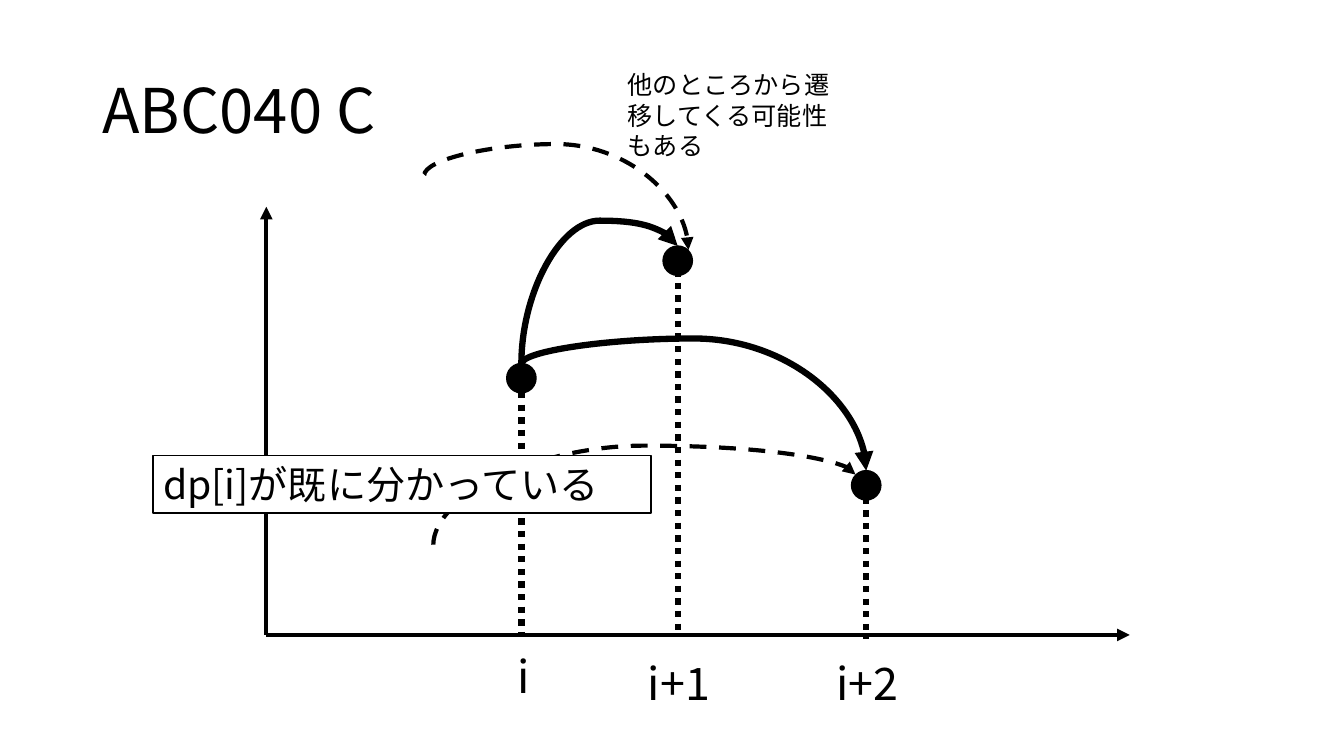
from dataclasses import dataclass

from lxml.etree import SubElement
from pptx import Presentation
from pptx.dml.color import RGBColor
from pptx.enum.dml import MSO_LINE
from pptx.enum.shapes import MSO_CONNECTOR, MSO_SHAPE
from pptx.enum.text import MSO_ANCHOR, MSO_AUTO_SIZE, PP_ALIGN
from pptx.oxml.ns import qn
from pptx.util import Cm, Pt


@dataclass(frozen=True)
class Theme:
    font: str = "Noto Sans CJK JP"
    ink: RGBColor = RGBColor(0, 0, 0)
    paper: RGBColor = RGBColor(255, 255, 255)
    title: Pt = Pt(44)
    label: Pt = Pt(32)
    statement: Pt = Pt(28)
    remark: Pt = Pt(18)
    thin: Pt = Pt(1)
    medium: Pt = Pt(3)
    thick: Pt = Pt(4.5)


theme = Theme()


def write(shape, text, size, anchor=MSO_ANCHOR.TOP, spacing=1.0, fit=MSO_AUTO_SIZE.SHAPE_TO_FIT_TEXT):
    frame = shape.text_frame
    frame.word_wrap = True
    frame.auto_size = fit
    frame.vertical_anchor = anchor
    paragraph = frame.paragraphs[0]
    paragraph.alignment = PP_ALIGN.LEFT
    paragraph.line_spacing = spacing
    run = paragraph.add_run()
    run.text = text
    run.font.name = theme.font
    run.font.size = size
    run.font.color.rgb = theme.ink
    SubElement(run.font._element, qn("a:ea"), typeface=theme.font)


def stroke(connector, width, dash=None, arrow=False):
    connector.line.color.rgb = theme.ink
    connector.line.width = width
    connector.line.dash_style = dash
    properties = connector._element.spPr
    if arrow:
        SubElement(properties.find(qn("a:ln")), qn("a:tailEnd"), type="triangle")
    SubElement(properties, qn("a:effectLst"))


deck = Presentation()
deck.slide_width, deck.slide_height = Cm(33.87), Cm(19.05)
slide = deck.slides.add_slide(deck.slide_layouts[5])
shapes = slide.shapes

# Title
heading = shapes.title
heading.left, heading.top, heading.width, heading.height = Cm(2.33), Cm(1.02), Cm(29.21), Cm(3.68)
write(heading, "ABC040 C", theme.title, anchor=MSO_ANCHOR.MIDDLE, spacing=0.9, fit=MSO_AUTO_SIZE.NONE)

# Transitions: start, end, height of the bend, line width, dash
transitions = [
    ((10.92, 13.74), (21.56, 11.96), 11.23, theme.medium, MSO_LINE.DASH),
    ((10.69, 4.42), (17.35, 6.30), 3.63, theme.medium, MSO_LINE.DASH),
    ((13.14, 9.17), (17.08, 6.20), 5.56, theme.thick, None),
    ((13.14, 9.17), (21.83, 11.86), 8.53, theme.thick, None),
]
for (x1, y1), (x2, y2), bend, width, dash in transitions:
    # The curve is laid out on its side, then turned about its centre
    mid_x, mid_y = (x1 + x2) / 2, (y1 + y2) / 2
    half_w, half_h = abs(y2 - y1) / 2, (x2 - x1) / 2
    rising = y2 < y1
    side = half_h if rising else -half_h
    transition = shapes.add_connector(
        MSO_CONNECTOR.CURVE,
        Cm(mid_x + half_w), Cm(mid_y + side), Cm(mid_x - half_w), Cm(mid_y - side))
    properties = transition._element.spPr
    properties.find(qn("a:xfrm")).set("rot", str((90 if rising else 270) * 60000))
    adjustments = properties.find(qn("a:prstGeom")).find(qn("a:avLst"))
    ratio = round((bend - y1) / (y2 - y1) * 100000)
    SubElement(adjustments, qn("a:gd"), name="adj1", fmla=f"val {ratio}")
    stroke(transition, width, dash, arrow=True)

# Axes
origin_x, origin_y = 6.71, 16.0
for tip_x, tip_y in [(origin_x, 5.21), (28.47, origin_y)]:
    axis = shapes.add_connector(
        MSO_CONNECTOR.STRAIGHT, Cm(origin_x), Cm(origin_y), Cm(tip_x), Cm(tip_y))
    stroke(axis, theme.medium, arrow=True)

# States, and white caps that trim the dashed tails: centre, size, colour
dots = [
    (13.14, 9.53, 0.74, 0.74, theme.ink),
    (17.08, 6.57, 0.74, 0.74, theme.ink),
    (21.83, 12.23, 0.74, 0.74, theme.ink),
    (10.34, 4.78, 0.97, 1.02, theme.paper),
    (10.92, 14.25, 0.97, 1.02, theme.paper),
]
for x, y, width, height, color in dots:
    dot = shapes.add_shape(
        MSO_SHAPE.OVAL, Cm(x - width / 2), Cm(y - height / 2), Cm(width), Cm(height))
    dot.shadow.inherit = False
    dot.fill.solid()
    dot.fill.fore_color.rgb = color
    dot.line.color.rgb = color
    dot.line.width = theme.thin

# Dotted stems and index labels: x, stem top and bottom, label left, top and width
indices = [
    ("i", 13.14, 9.88, 16.0, 12.78, 16.23, 2.21),
    ("i+1", 17.08, 6.81, 16.0, 16.08, 16.41, 2.74),
    ("i+2", 21.83, 12.22, 16.1, 20.83, 16.41, 2.74),
]
for text, x, top, bottom, label_left, label_top, label_width in indices:
    stem = shapes.add_connector(MSO_CONNECTOR.STRAIGHT, Cm(x), Cm(top), Cm(x), Cm(bottom))
    stroke(stem, theme.thick, MSO_LINE.ROUND_DOT)
    index = shapes.add_textbox(Cm(label_left), Cm(label_top), Cm(label_width), Cm(1.62))
    write(index, text, theme.label)

# Known value
known = shapes.add_shape(MSO_SHAPE.RECTANGLE, Cm(3.86), Cm(11.48), Cm(12.55), Cm(1.45))
known.shadow.inherit = False
known.fill.solid()
known.fill.fore_color.rgb = theme.paper
known.line.color.rgb = theme.ink
known.line.width = theme.thin
write(known, "dp[i]が既に分かっている", theme.statement)

# Remark on other transitions
remark = shapes.add_textbox(Cm(15.57), Cm(1.63), Cm(6.12), Cm(2.57))
write(remark, "他のところから遷移してくる可能性もある", theme.remark)

deck.save("out.pptx")
